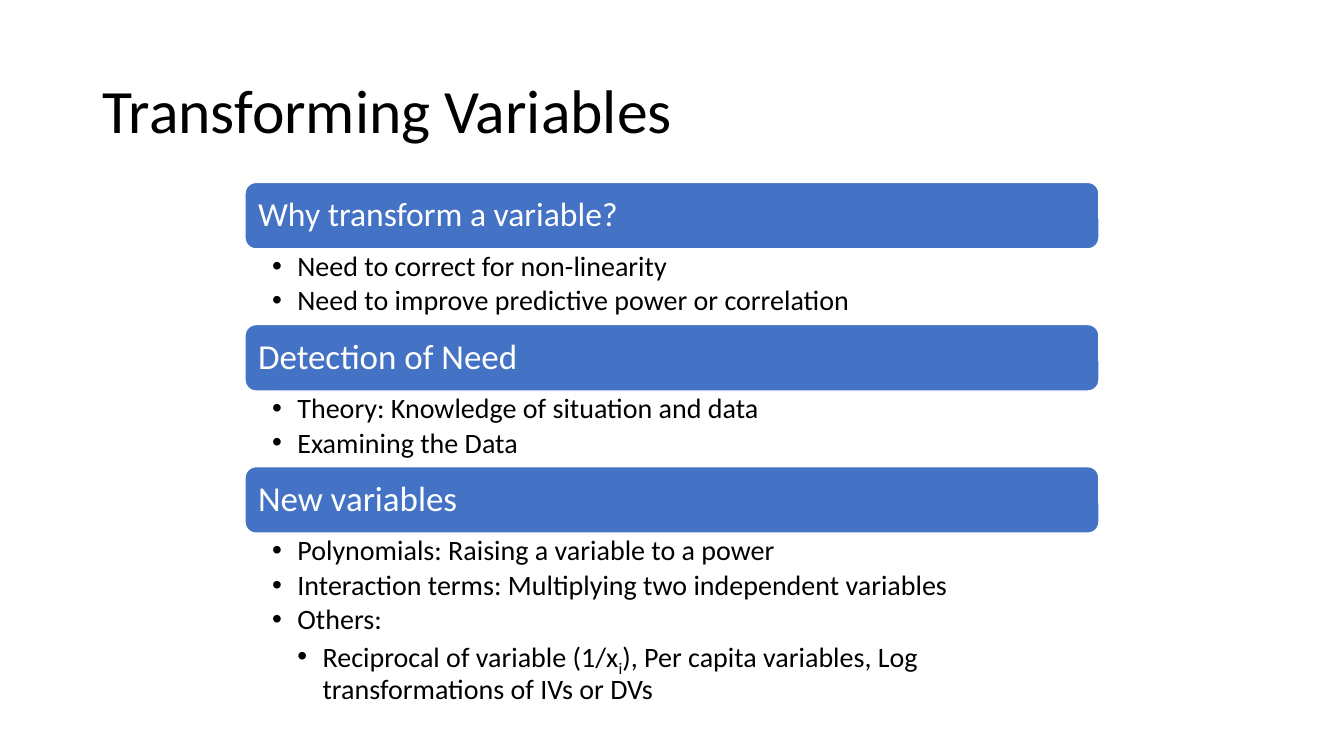
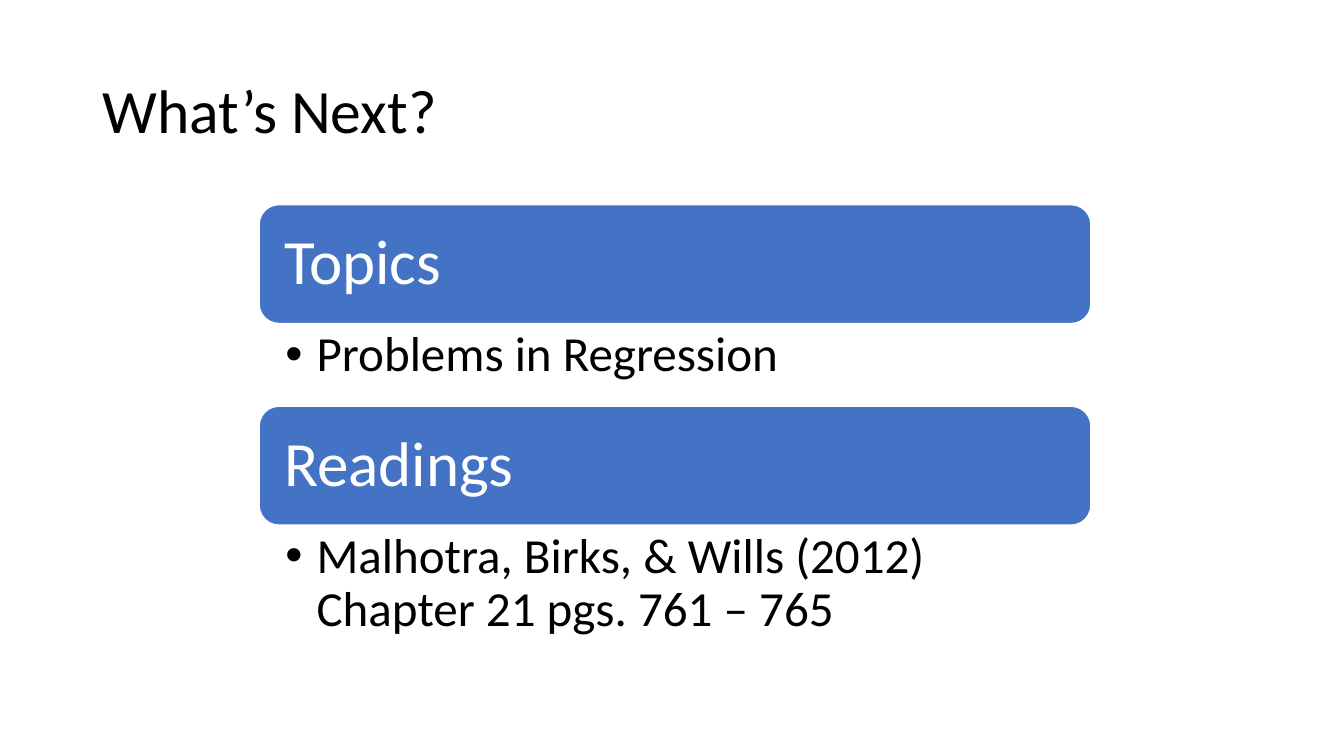
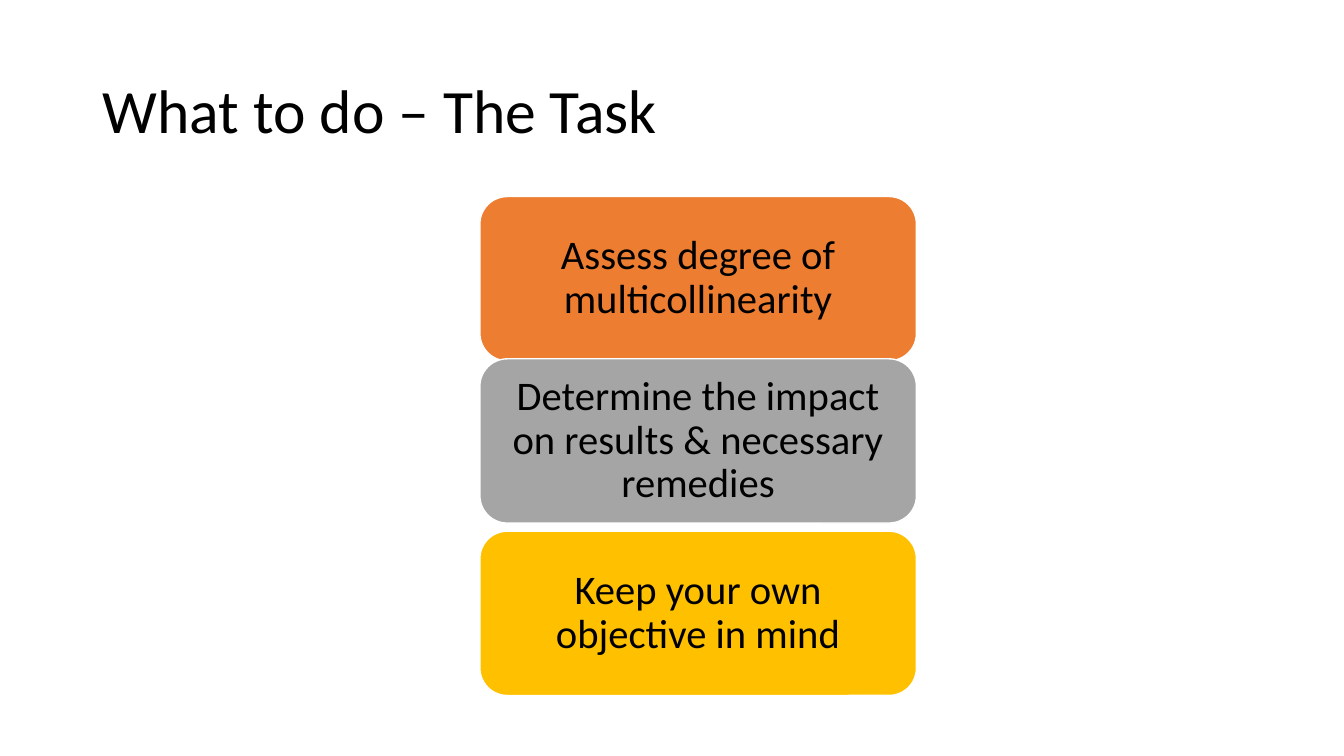
from pptx import Presentation
from pptx.dml.color import RGBColor
from pptx.enum.shapes import MSO_SHAPE
from pptx.enum.text import MSO_ANCHOR, PP_ALIGN
from pptx.oxml.ns import qn
from pptx.util import Pt
from lxml import etree

ROUND = MSO_SHAPE.ROUNDED_RECTANGLE
TOP, MIDDLE = MSO_ANCHOR.TOP, MSO_ANCHOR.MIDDLE
LEFT, CENTER = PP_ALIGN.LEFT, PP_ALIGN.CENTER

PX = 9144  # 100 px to the inch
FONT = "Calibri"
BLACK, WHITE, BLUE = "000000", "FFFFFF", "4472C4"
ORANGE, GREY, GOLD = "ED7D31", "A5A5A5", "FFC000"


def px(n):
    return n * PX


def color(hex_string):
    return RGBColor.from_string(hex_string)


def set_frame(tf, anchor, insets):
    tf.word_wrap = True
    tf.vertical_anchor = anchor
    tf.margin_left, tf.margin_top, tf.margin_right, tf.margin_bottom = map(px, insets)


def style(p, size, hex_string, align=LEFT):
    p.alignment = align
    p.line_spacing = 0.9
    for r in p.runs:
        r.font.name = FONT
        r.font.size = Pt(size)
        r.font.color.rgb = color(hex_string)


def add_bullet(p, level, hang):
    p.level = level
    pPr = p._p.get_or_add_pPr()
    pPr.set("marL", str(px(hang * level)))
    pPr.set("indent", str(px(-hang)))
    etree.SubElement(pPr, qn("a:buFont")).set("typeface", "Arial")
    etree.SubElement(pPr, qn("a:buChar")).set("char", "•")


def add_title_slide(prs, title):
    s = prs.slides.add_slide(prs.slide_layouts[6])
    tf = s.shapes.add_textbox(px(92), px(40), px(1150), px(145)).text_frame
    set_frame(tf, MIDDLE, (10, 5, 10, 5))
    tf.text = title
    style(tf.paragraphs[0], 44, BLACK)
    return s


def add_block(s, box, text, fill, size, text_color, insets, align=LEFT):
    """Rounded block holding one paragraph."""
    sp = s.shapes.add_shape(ROUND, *map(px, box))
    sp.shadow.inherit = False
    sp.fill.solid()
    sp.fill.fore_color.rgb = color(fill)
    sp.line.color.rgb = color(WHITE)
    sp.line.width = Pt(1)
    set_frame(sp.text_frame, MIDDLE, insets)
    sp.text_frame.text = text
    style(sp.text_frame.paragraphs[0], size, text_color, align)


def add_bullets(s, box, items, size, hang, insets, space_after):
    """Items are (level, text pieces); every second piece is a subscript."""
    tf = s.shapes.add_textbox(*map(px, box)).text_frame
    set_frame(tf, TOP, insets)
    for i, (level, *pieces) in enumerate(items):
        p = tf.paragraphs[0] if i == 0 else tf.add_paragraph()
        add_bullet(p, level, hang)
        p.space_after = Pt(space_after)
        for j, piece in enumerate(pieces):
            r = p.add_run()
            r.text = piece
            if j % 2:
                r._r.get_or_add_rPr().set("baseline", "-25000")
        style(p, size, BLACK)


def add_sections(s, left, top, width, head_height, head_inset, bullets, sections):
    """Stack of headings, each followed directly by its bullet list."""
    for heading, head_size, list_height, items in sections:
        add_block(s, (left, top, width, head_height), heading, BLUE, head_size,
                  WHITE, (head_inset,) * 4)
        top += head_height
        add_bullets(s, (left, top, width, list_height), items, **bullets)
        top += list_height


def transforming_slide(prs):
    s = add_title_slide(prs, "Transforming Variables")
    bullets = dict(size=20, hang=25, insets=(27, 3, 19, 3), space_after=3.2)
    add_sections(s, 243, 181, 847, 66, 10, bullets, [
        ("Why transform a variable?", 24, 75, [
            (1, "Need to correct for non-linearity"),
            (1, "Need to improve predictive power or correlation")]),
        ("Detection of Need", 25, 75, [
            (1, "Theory: Knowledge of situation and data"),
            (1, "Examining the Data")]),
        ("New variables", 25, 181, [
            (1, "Polynomials: Raising a variable to a power"),
            (1, "Interaction terms: Multiplying two independent variables"),
            (1, "Others:"),
            (2, "Reciprocal of variable (1/x", "i",
             "), Per capita variables, Log transformations of IVs or DVs")]),
    ])


def next_slide(prs):
    s = add_title_slide(prs, "What’s Next?")
    bullets = dict(size=35, hang=31, insets=(26, 6, 35, 6), space_after=6)
    add_sections(s, 257, 203, 825, 118, 19, bullets, [
        ("Topics", 45, 82, [(1, "Problems in Regression")]),
        ("Readings", 45, 120, [
            (1, "Malhotra, Birks, & Wills (2012) Chapter 21 pgs. 761 – 765")]),
    ])


def task_slide(prs):
    s = add_title_slide(prs, "What to do – The Task")
    steps = [
        (195, ORANGE, "Assess degree of multicollinearity"),
        (356, GREY, "Determine the impact on results & necessary remedies"),
        (527, GOLD, "Keep your own objective in mind"),
    ]
    for top, fill, text in steps:
        add_block(s, (476, top, 433, 163), text, fill, 29, BLACK,
                  (12, 6, 12, 6), CENTER)


def main():
    prs = Presentation()
    prs.slide_width, prs.slide_height = px(1333), px(750)
    transforming_slide(prs)
    next_slide(prs)
    task_slide(prs)
    prs.save("out.pptx")


if __name__ == "__main__":
    main()
